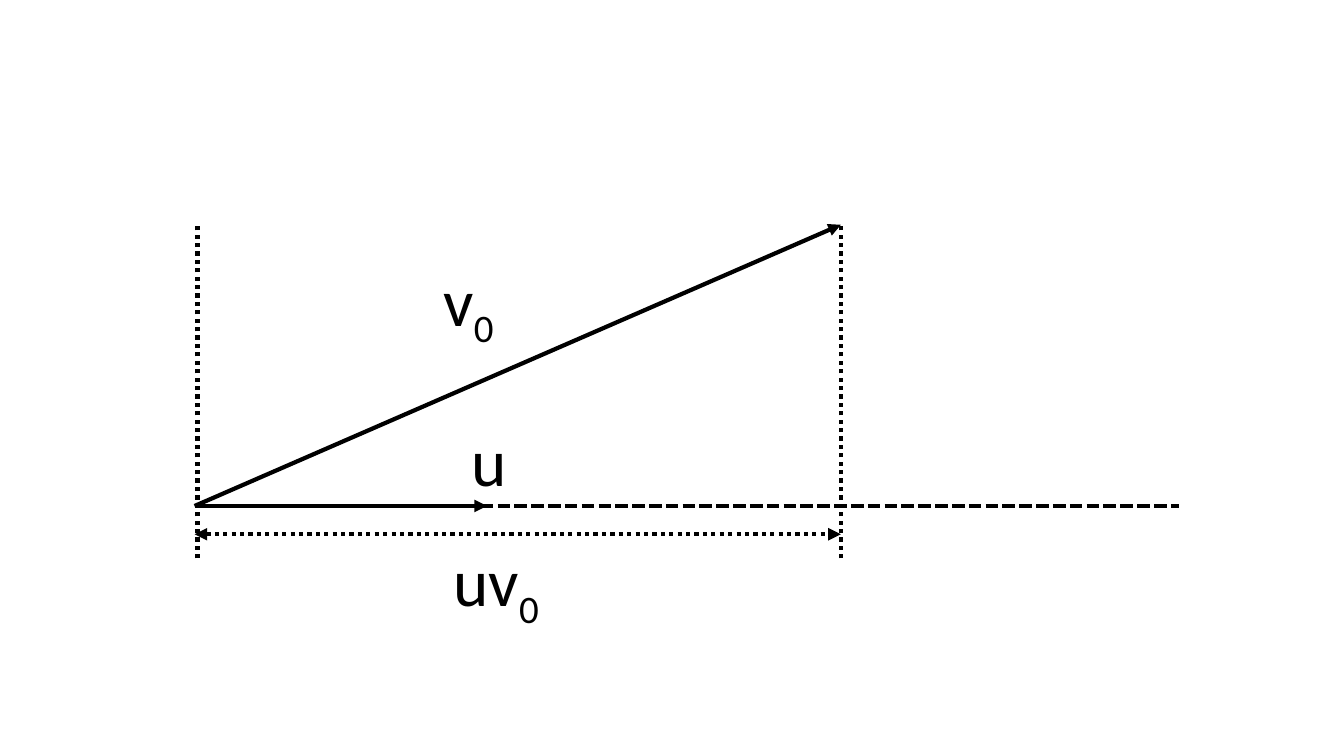
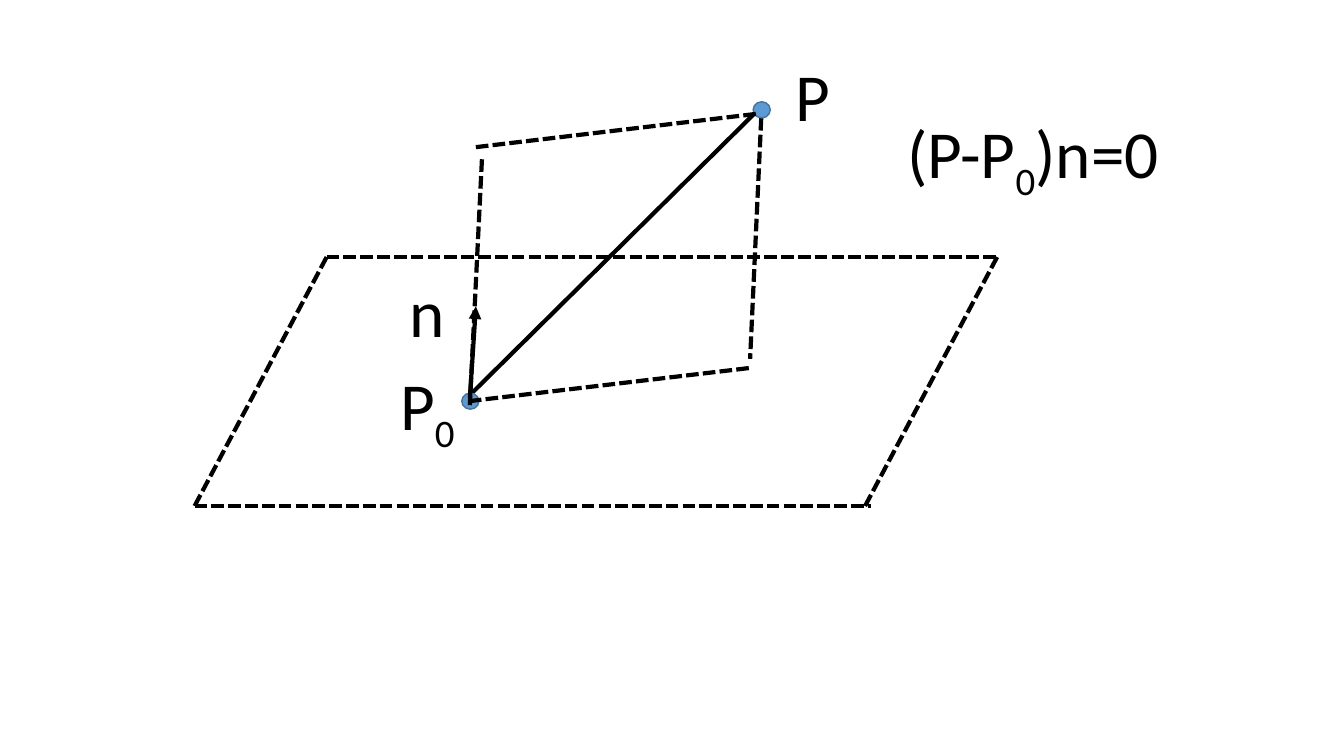
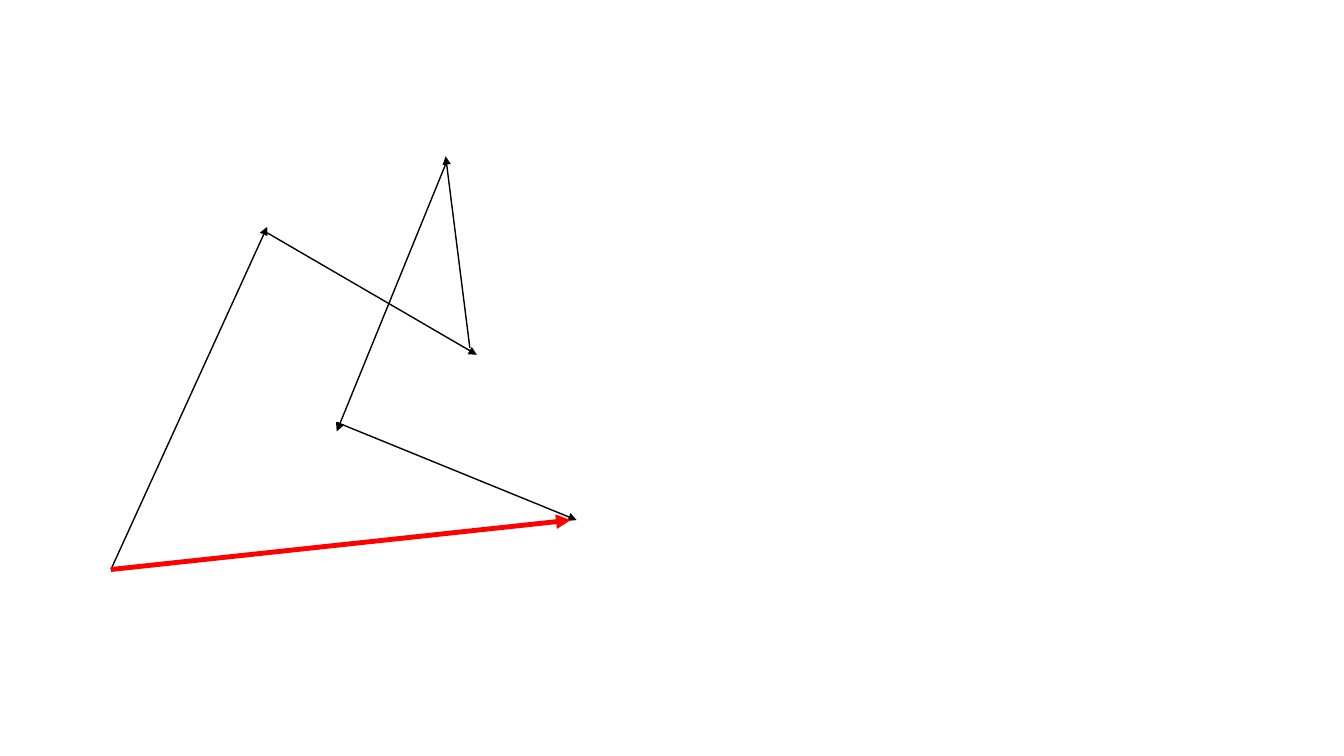
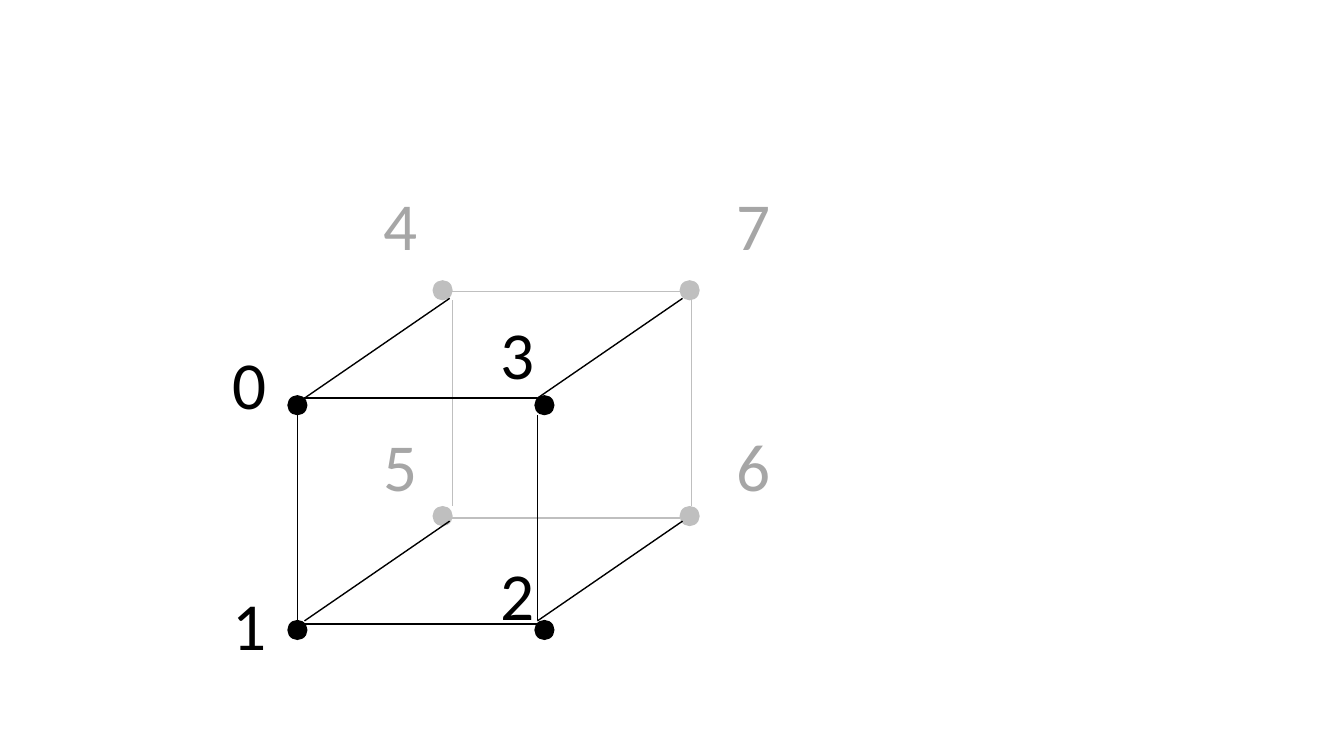
"""Build four vector geometry diagrams: projection, plane, vector sum and cube."""
from itertools import pairwise, product

from lxml import etree
from pptx import Presentation
from pptx import util as u
from pptx.dml import color
from pptx.enum import dml, shapes, text
from pptx.oxml import ns

COLORS = {"ink": "000000", "red": "FF0000", "dot": "5B9BD5", "rim": "43739E",
          "back": "BFBFBF", "faded": "A6A6A6"}
FONT, SIZE = "Calibri", 48
DASHES = {"dash": dml.MSO_LINE.SQUARE_DOT, "dots": dml.MSO_LINE.ROUND_DOT}
SLIDE = (13.33, 7.5)
LABEL_WIDTH, LABEL_HEIGHT = 0.56, 0.91

LEFT, TIP, BASE, TOP, FOOT, MEASURE = 1.93, 8.34, 5.02, 2.23, 5.54, 5.3
PROJECTION_LINES = [
    ((LEFT, BASE), (TIP, TOP), {"tail": True}),
    ((LEFT, BASE), (11.69, BASE), {"dash": "dash"}),
    ((TIP, FOOT), (TIP, TOP), {"dash": "dots"}),
    ((LEFT, BASE), (4.83, BASE), {"tail": True}),
    ((1.96, FOOT), (1.96, TOP), {"dash": "dots"}),
    ((LEFT, MEASURE), (TIP, MEASURE), {"dash": "dots", "head": True, "tail": True}),
]
PROJECTION_LABELS = [
    (("v", "0"), (4.3, 2.52), 0.73),
    (("u",), (4.58, 4.11), 0.56),
    (("uv", "0"), (4.4, MEASURE), 1.09),
]

BACK_LEFT, BACK_RIGHT, FRONT_RIGHT = (3.24, 2.55), (9.89, 2.55), (8.58, BASE)
PLANE_EDGES = [
    ((LEFT, BASE), (8.64, BASE)),
    (BACK_LEFT, BACK_RIGHT),
    (BACK_LEFT, (LEFT, BASE)),
    (BACK_RIGHT, FRONT_RIGHT),
]
PLANE_POINTS = [(4.58, 3.9), (7.47, 1.01)]
DIAGONAL = ((4.66, 3.92), (7.55, 1.06))
NORMAL = ((4.66, 3.95), (4.72, 3.04))
RIGHT_SIDE = ((7.55, 1.17), (7.44, 3.56))
OTHER_SIDES = [
    ((4.65, 3.98), (7.44, 3.65)),
    ((4.78, 1.58), (4.66, 4.02)),
    ((4.72, 1.46), (7.5, 1.13)),
]
PLANE_LABELS = [
    (("P", "0"), (3.87, 3.56), 0.78),
    (("P",), (7.79, 0.49), 0.55),
    (("n",), (3.96, 2.63), 0.56),
    (("(P-P", "0", ")n=0"), (8.9, 1.06), 2.77),
]

STEPS = [
    ((1.1, 5.65), (2.65, 2.25)),
    ((2.65, 2.31), (4.73, 3.52)),
    ((4.66, 3.45), (4.42, 1.55)),
    ((4.42, 1.63), (3.34, 4.28)),
    ((3.34, 4.19), (5.72, 5.16)),
]
SUM = ((1.1, 5.65), (5.66, 5.16))

CUBE_FACES = [
    {"color": "ink", "label": "ink", "dots": ((2.85, 5.3), (3.92, 6.15)),
     "rows": ((3.02, 5.33), (3.95, 6.19)),
     "columns": ((2.95, 5.33), (4.12, 6.15)),
     "names": ("0", "1", "3", "2"), "starts": ((2.21, 3.35), (4.87, 3.05))},
    {"color": "back", "label": "faded", "dots": ((4.29, 6.74), (2.78, 5.02)),
     "rows": ((4.43, 6.74), (2.89, 5.14)),
     "columns": ((4.49, 6.86), (2.98, 5.02)),
     "names": ("4", "5", "7", "6"), "starts": ((3.71, 1.77), (7.21, 1.77))},
]
LABEL_DROP = 2.39
DEPTH_START, DEPTH_END, DEPTH_STEP = (4.46, 2.96), (3.02, 3.95), (2.31, 2.21)


def paint(name):
    return color.RGBColor.from_string(COLORS[name])


def add_line(page, start, end, width=3, ink="ink", dash=None, head=False, tail=False):
    line = page.shapes.add_connector(
        shapes.MSO_CONNECTOR.STRAIGHT, *(u.Inches(v) for v in (*start, *end)))
    line.line.width = u.Pt(width)
    line.line.color.rgb = paint(ink)
    if dash:
        line.line.dash_style = DASHES[dash]
    outline = line.line._get_or_add_ln()
    for tag, wanted in (("a:headEnd", head), ("a:tailEnd", tail)):
        if wanted:
            etree.SubElement(outline, ns.qn(tag), type="triangle")
    etree.SubElement(line._element.spPr, ns.qn("a:effectLst"))


def add_dot(page, corner, size, fill, rim=None):
    dot = page.shapes.add_shape(
        shapes.MSO_SHAPE.OVAL, *(u.Inches(v) for v in (*corner, *size)))
    dot.shadow.inherit = False
    dot.fill.solid()
    dot.fill.fore_color.rgb = paint(fill)
    if rim:
        dot.line.color.rgb = paint(rim)
        dot.line.width = u.Pt(1)
    else:
        dot.line.fill.background()


def add_label(page, parts, corner, width=LABEL_WIDTH, ink="ink"):
    box = page.shapes.add_textbox(
        *(u.Inches(v) for v in (*corner, width, LABEL_HEIGHT)))
    box.text_frame.word_wrap = False
    box.text_frame.auto_size = text.MSO_AUTO_SIZE.SHAPE_TO_FIT_TEXT
    para = box.text_frame.paragraphs[0]
    for index, part in enumerate(parts):
        span = para.add_run()
        span.text = part
        span.font.name, span.font.size = FONT, u.Pt(SIZE)
        span.font.color.rgb = paint(ink)
        if index % 2:
            span._r.get_or_add_rPr().set("baseline", "-25000")


def draw_projection(page):
    for start, end, style in PROJECTION_LINES:
        add_line(page, start, end, **style)
    for label in PROJECTION_LABELS:
        add_label(page, *label)


def draw_plane(page):
    add_line(page, *DIAGONAL)
    for edge in PLANE_EDGES + [RIGHT_SIDE]:
        add_line(page, *edge, dash="dash")
    for point in PLANE_POINTS:
        add_dot(page, point, (0.17, 0.16), "dot", rim="rim")
    add_line(page, *NORMAL, tail=True)
    for side in OTHER_SIDES:
        add_line(page, *side, dash="dash")
    for label in PLANE_LABELS:
        add_label(page, *label)


def draw_sum(page):
    for step in STEPS:
        add_line(page, *step, width=1, tail=True)
    add_line(page, *SUM, width=3.5, ink="red", tail=True)


def draw_cube(page):
    for face in CUBE_FACES:
        for corner in product(*face["dots"]):
            add_dot(page, corner, (0.2, 0.2), face["color"])
    for face in reversed(CUBE_FACES):
        (left, right), levels = face["rows"]
        for y in levels:
            add_line(page, (right, y), (left, y), width=1, ink=face["color"])
        columns, (top, bottom) = face["columns"]
        for x in columns:
            add_line(page, (x, bottom), (x, top), width=1, ink=face["color"])
    for column, row in product(range(2), repeat=2):
        shift = (column * DEPTH_STEP[0], row * DEPTH_STEP[1])
        start, end = (tuple(a + b for a, b in zip(point, shift))
                      for point in (DEPTH_START, DEPTH_END))
        add_line(page, start, end, width=1)
    for face in CUBE_FACES:
        spots = product(face["starts"], (0, LABEL_DROP))
        for name, ((x, y), drop) in zip(face["names"], spots):
            add_label(page, (name,), (x, y + drop), ink=face["label"])


deck = Presentation()
deck.slide_width, deck.slide_height = (u.Inches(v) for v in SLIDE)
for draw in (draw_projection, draw_plane, draw_sum, draw_cube):
    draw(deck.slides.add_slide(deck.slide_layouts[6]))
deck.save("out.pptx")
